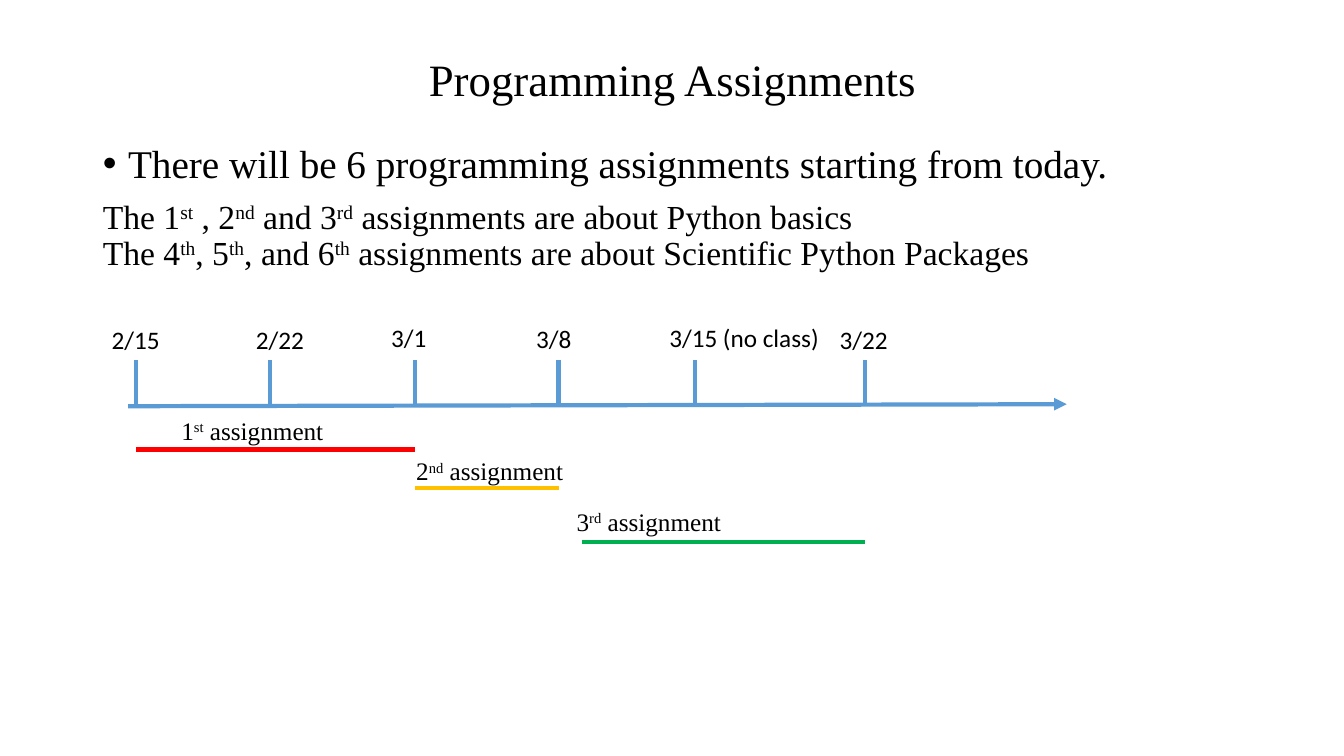
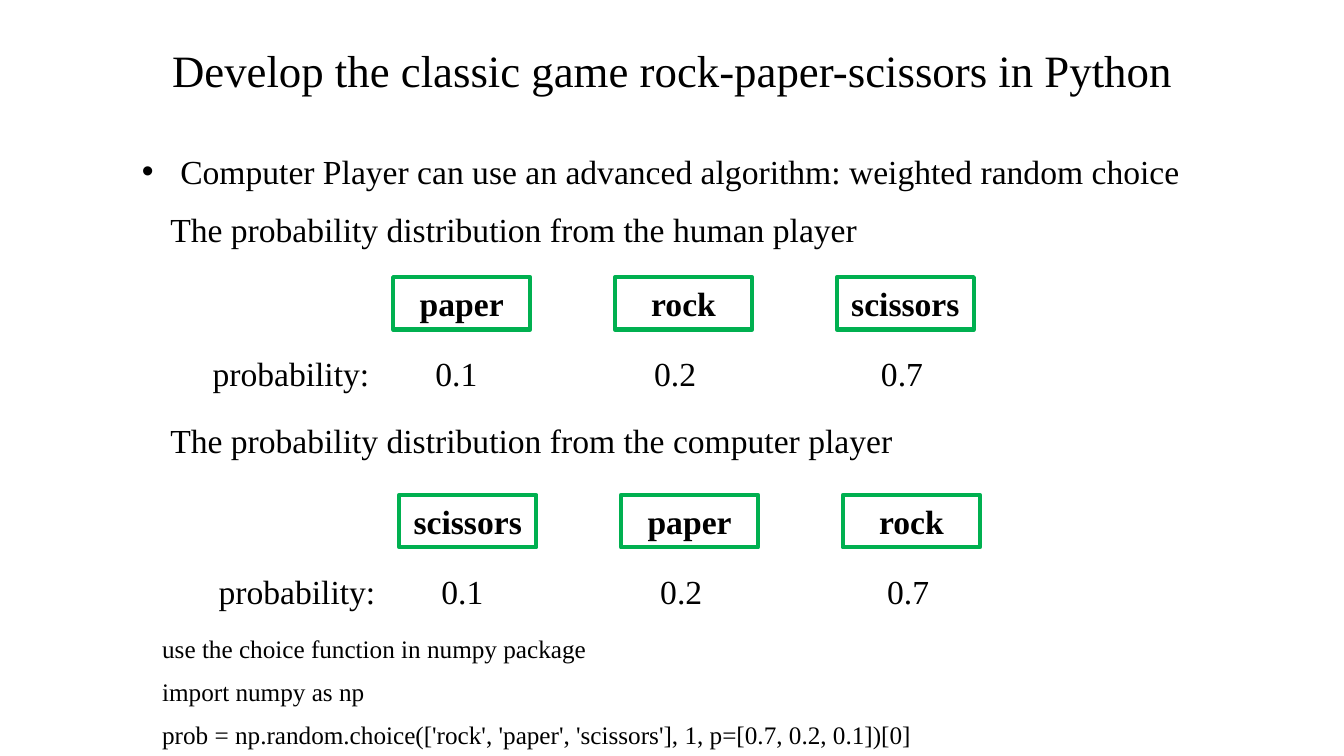
"""Builds two course slides: an assignment timeline and a weighted choice game."""
from copy import deepcopy

from lxml.etree import SubElement as Sub
from pptx import Presentation
from pptx.dml.color import RGBColor as RGB
from pptx.enum.shapes import MSO_CONNECTOR as LINK, MSO_SHAPE as SHAPE
from pptx.enum.text import MSO_ANCHOR as ANCHOR, MSO_AUTO_SIZE as FIT, PP_ALIGN as ALIGN
from pptx.oxml.ns import qn
from pptx.util import Inches, Pt

SERIF, SANS = "Times New Roman", "Calibri"
BLACK, BLUE, GREEN = "000000", "5B9BD5", "00B050"
RED, GOLD = "FF0000", "FFC000"


def color(target, code):
    target.rgb = RGB.from_string(code)


def place(shape, left, top, width, height):
    shape.left, shape.top = Inches(left), Inches(top)
    shape.width, shape.height = Inches(width), Inches(height)


def write(para, text, size, font=SERIF, bold=False):
    """Add runs; text between carets is raised and a newline breaks the line."""
    for i, part in enumerate(text.split("^")):
        for j, piece in enumerate(part.split("\n")):
            if j:
                para.add_line_break()
                para._p[-1].append(deepcopy(run._r.rPr))
            run = para.add_run()
            run.text = piece
            run.font.size, run.font.name, run.font.bold = Pt(size), font, bold
            color(run.font.color, BLACK)
            if i % 2:
                run._r.get_or_add_rPr().set("baseline", "30000")


def bullet(para, indent):
    props = para._p.get_or_add_pPr()
    props.set("marL", str(Inches(indent)))
    props.set("indent", str(-Inches(indent)))
    if indent:
        Sub(props, qn("a:buFont")).set("typeface", "Arial")
        Sub(props, qn("a:buChar")).set("char", "•")
    else:
        Sub(props, qn("a:buNone"))


def tabs(para, stops):
    row = Sub(para._p.get_or_add_pPr(), qn("a:tabLst"))
    for stop in stops:
        tab = Sub(row, qn("a:tab"))
        tab.set("pos", str(Inches(stop)))
        tab.set("algn", "l")


def title(slide, text, top):
    shape = slide.shapes.title
    place(shape, 0.92, top, 11.5, 1.45)
    frame = shape.text_frame
    frame.vertical_anchor, frame.auto_size = ANCHOR.MIDDLE, FIT.NONE
    para = frame.paragraphs[0]
    para.alignment, para.line_spacing = ALIGN.CENTER, 0.9
    write(para, text, 32)


def body(slide, items):
    """Fill the body placeholder with (text, size, indent) items."""
    shape = slide.placeholders[1]
    place(shape, 0.92, 1.38, 12.19, 1.45)
    frame = shape.text_frame
    frame.auto_size = FIT.NONE
    for i, (text, size, indent) in enumerate(items):
        para = frame.add_paragraph() if i else frame.paragraphs[0]
        para.line_spacing, para.space_before = 0.9, Pt(10)
        bullet(para, indent)
        write(para, text, size)


def label(slide, text, left, top, width, size=24, font=SERIF):
    height = 0.5 if size > 18 else 0.4
    box = slide.shapes.add_textbox(*map(Inches, (left, top, width, height)))
    box.text_frame.word_wrap = True
    para = box.text_frame.paragraphs[0]
    write(para, text, size, font)
    return para


def line(slide, start, end, code, arrow=False):
    link = slide.shapes.add_connector(
        LINK.STRAIGHT, *map(Inches, (*start, *end)))
    color(link.line.color, code)
    link.line.width = Pt(3)
    if arrow:
        Sub(link.line._get_or_add_ln(), qn("a:tailEnd")).set("type", "triangle")
    Sub(link._element.spPr, qn("a:effectLst"))


def frame_word(slide, word, left, top):
    box = slide.shapes.add_shape(
        SHAPE.RECTANGLE, *map(Inches, (left, top, 1.36, 0.52)))
    box.shadow.inherit = False
    box.fill.background()
    color(box.line.color, GREEN)
    box.line.width = Pt(3)
    box.text_frame.vertical_anchor = ANCHOR.MIDDLE
    para = box.text_frame.paragraphs[0]
    para.alignment = ALIGN.CENTER
    write(para, word, 24, bold=True)


def odds(slide, who, words, head, left, top):
    """Draw one player's heading, framed words and row of probabilities."""
    label(slide, f"The probability distribution from the {who} player", 1.59, head, 7.51)
    for i, word in enumerate(words):
        frame_word(slide, word, left + 2.2 * i, top)
    row = label(slide, "probability:\t0.1\t0.2\t0.7", left - 1.89, top + 0.7, 7.33)
    tabs(row, (2.21, 4.38, 6.63))


def plan(slide):
    """Build the timeline of assignments."""
    title(slide, "Programming Assignments", 0.09)
    body(slide, [
        ("There will be 6 programming assignments starting from today.", 28, 0.25),
        ("The 1^st^ , 2^nd^ and 3^rd^ assignments are about Python basics\n"
         "The 4^th^, 5^th^, and 6^th^ assignments are about Scientific Python Packages",
         24, 0)])
    line(slide, (1.27, 4.03), (10.58, 4.01), BLUE, arrow=True)
    for date, tick, left, top, width in (
            ("2/15", 1.35, 1.01, 3.17, 0.75), ("2/22", 2.68, 2.44, 3.17, 0.75),
            ("3/1", 4.12, 3.78, 3.15, 0.65), ("3/8", 5.54, 5.22, 3.16, 0.65),
            ("3/15 (no class)", 6.89, 6.54, 3.15, 1.8), ("3/22", 8.58, 8.23, 3.17, 0.75)):
        line(slide, (tick, 3.57), (tick, 4.02), BLUE)
        label(slide, date, left, top, width, 18, SANS)
    for name, left, top, start, end, level, code in (
            ("1^st^", 1.7, 4.07, 1.35, 4.12, 4.46, RED),
            ("2^nd^", 4.03, 4.47, 4.12, 5.54, 4.84, GOLD),
            ("3^rd^", 5.62, 4.97, 5.77, 8.58, 5.38, GREEN)):
        line(slide, (start, level), (end, level), code)
        label(slide, f"{name} assignment", left, top, 1.8, 18)


def game(slide):
    """Build the weighted random choice slide."""
    title(slide, "Develop the classic game rock-paper-scissors in Python", 0)
    lead = label(
        slide, "Computer Player can use an advanced algorithm: weighted random choice",
        1.31, 1.45, 10.7)
    bullet(lead, 0.38)
    odds(slide, "human", ("paper", "rock", "scissors"), 2.02, 3.9, 2.75)
    odds(slide, "computer", ("scissors", "paper", "rock"), 4.12, 3.96, 4.91)
    box = slide.shapes.add_textbox(*map(Inches, (1.51, 6.22, 9.58, 1.23)))
    frame = box.text_frame
    frame.word_wrap = True
    for i, text in enumerate((
            "use the choice function in numpy package",
            "import numpy as np",
            "prob = np.random.choice(['rock', 'paper', 'scissors'], 1, p=[0.7, 0.2, 0.1])[0]")):
        para = frame.add_paragraph() if i else frame.paragraphs[0]
        para.space_after, para.line_spacing = Pt(8), 1.05
        write(para, text, 18)


def main():
    deck = Presentation()
    deck.slide_width, deck.slide_height = Inches(13.33), Inches(7.5)
    for build, layout in ((plan, 1), (game, 5)):
        build(deck.slides.add_slide(deck.slide_layouts[layout]))
    deck.save("out.pptx")


main()
